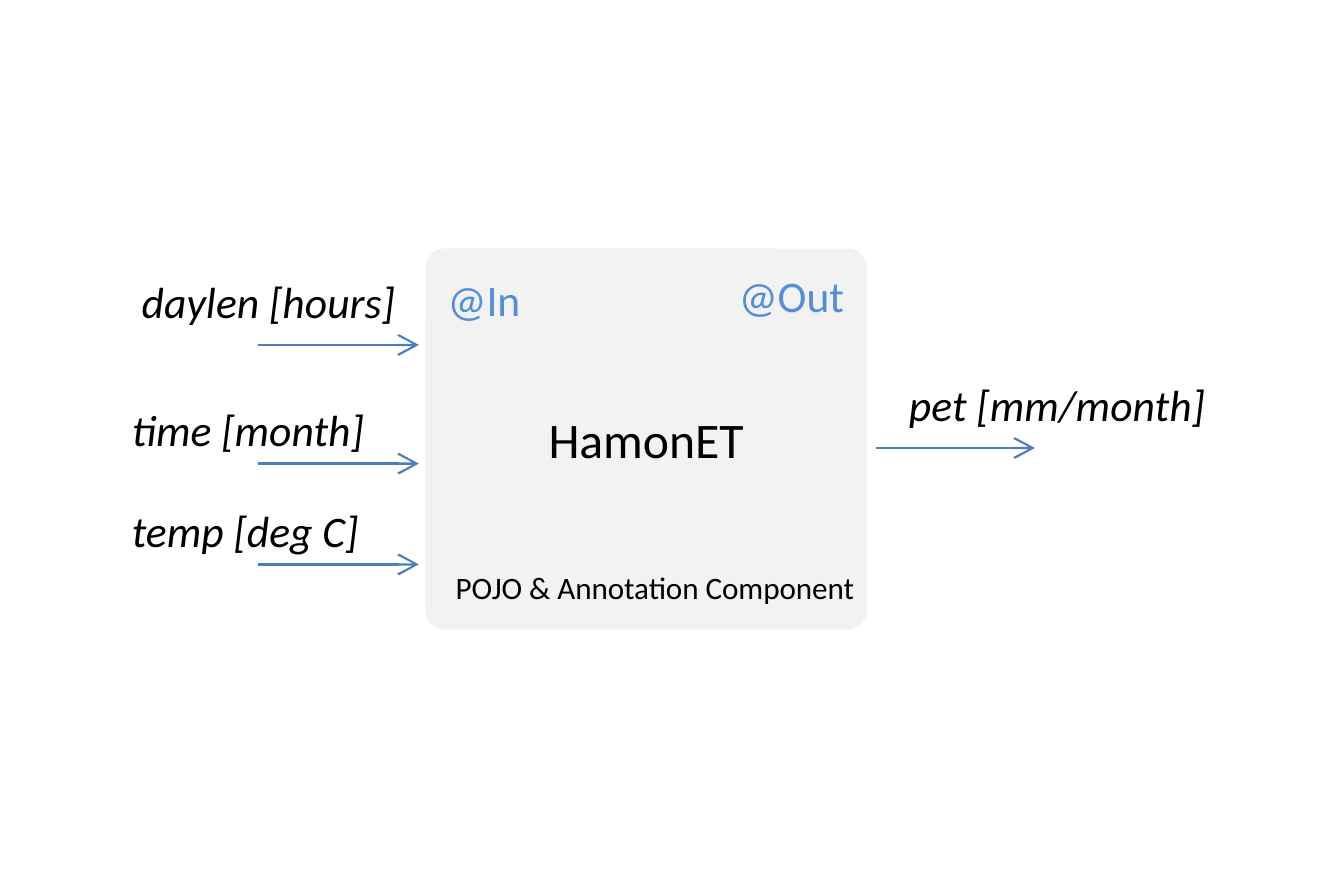
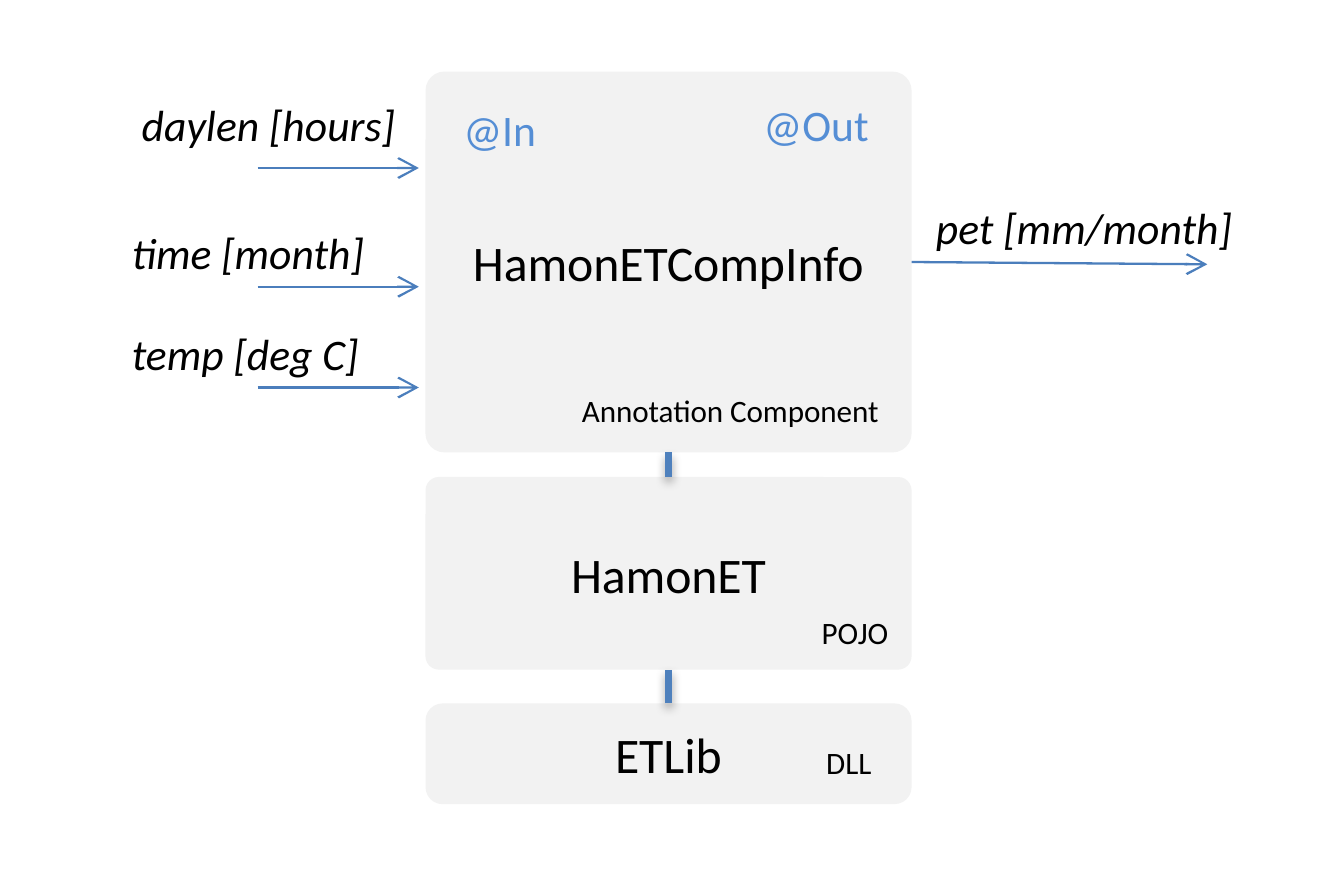
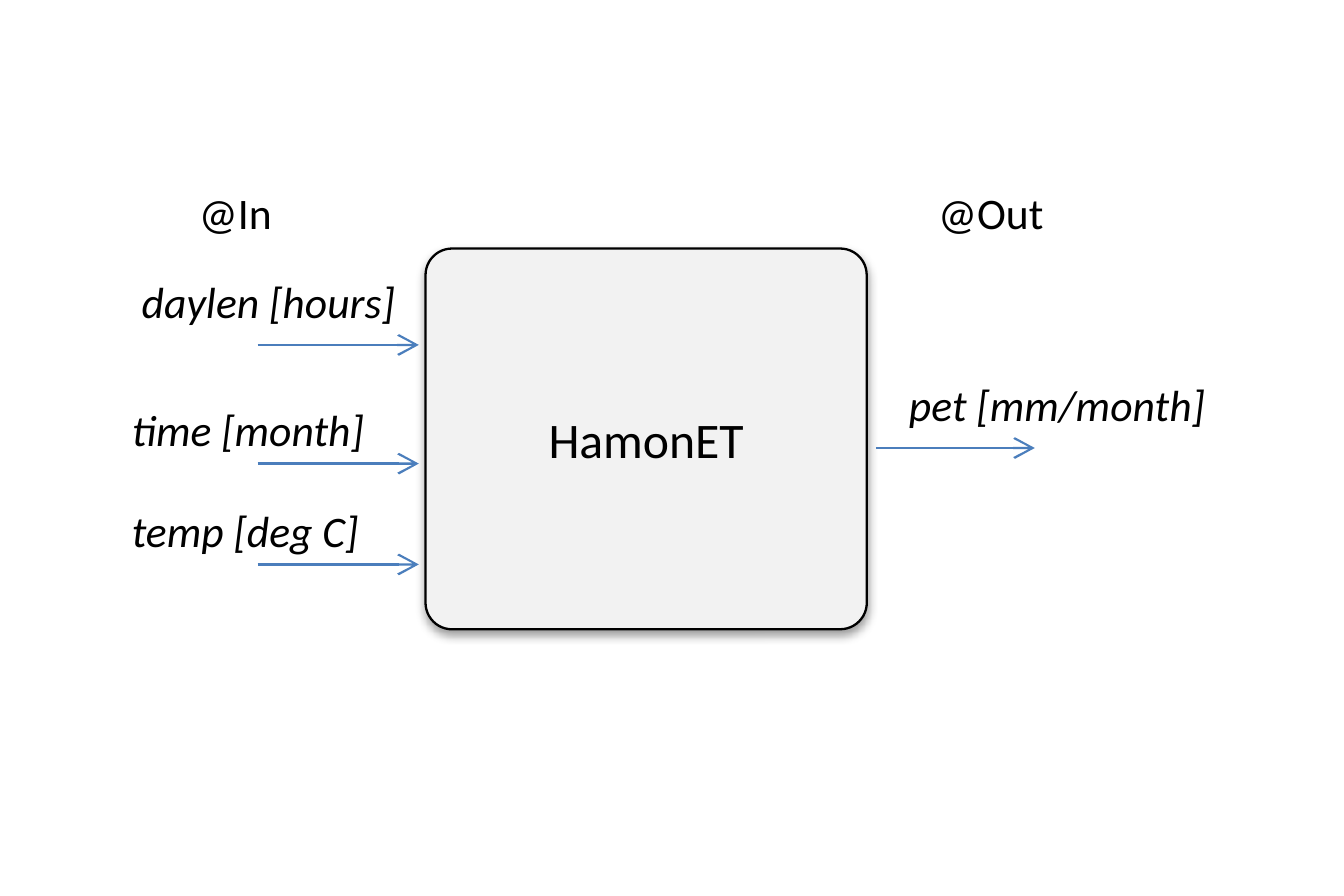
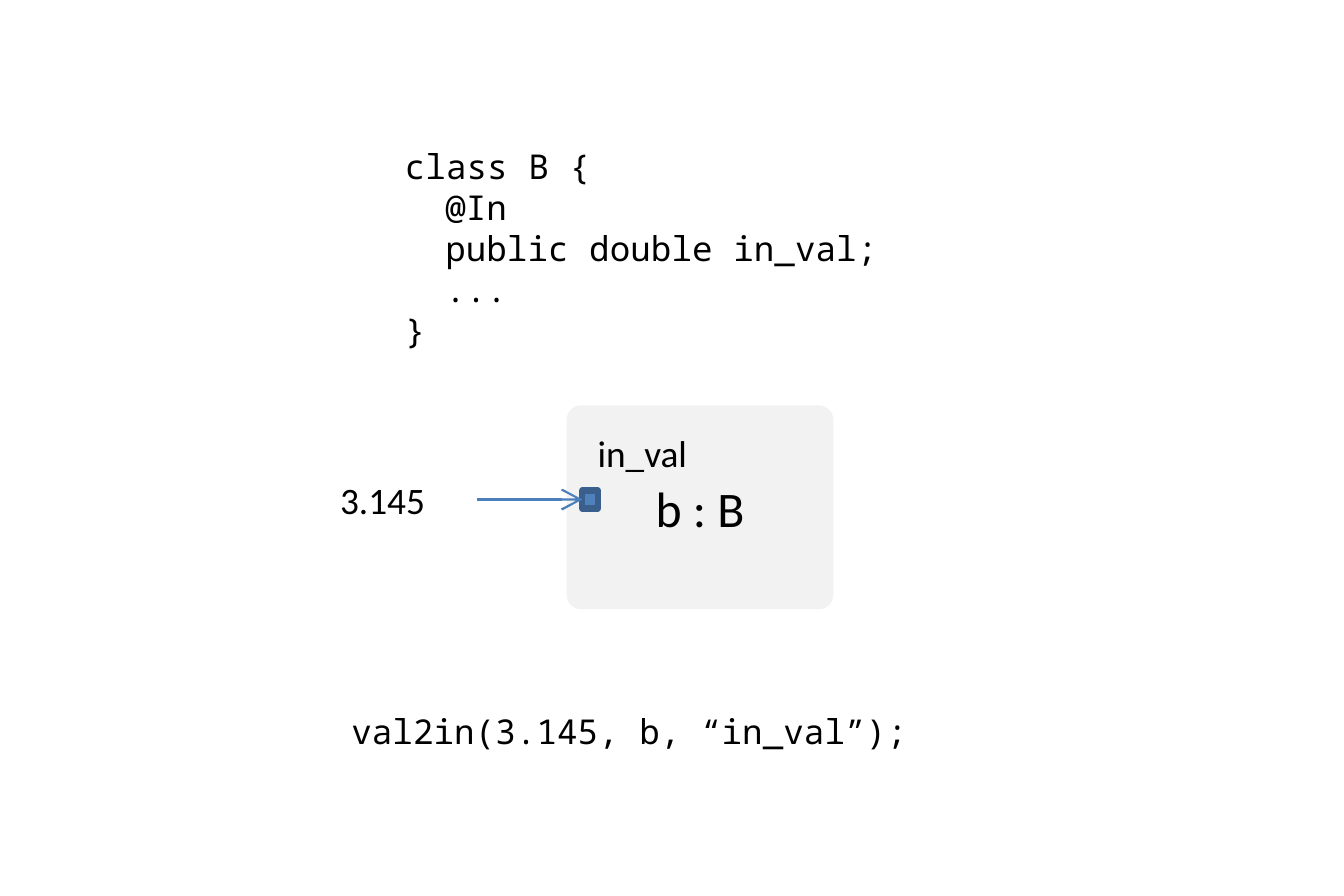
"""Draw four slides on annotated components and their inputs and outputs."""
from dataclasses import dataclass
from typing import NamedTuple, Optional

from lxml import etree
from pptx import Presentation
from pptx import util as u
from pptx.dml.color import RGBColor
from pptx.enum import shapes, text
from pptx.oxml import ns
from pptx.shapes.autoshape import Shape
from pptx.shapes.connector import Connector
from pptx.slide import Slide


@dataclass(frozen=True)
class Theme:
    ink: str = "000000"
    fill: str = "F2F2F2"
    tag: str = "558ED5"
    arrow: str = "4B7EBC"
    link: str = "4F81BD"
    rim: str = "3A5F8C"
    sans: str = "Calibri"
    mono: str = "Noto Sans Mono"
    name: int = 16
    label: int = 14
    value: int = 12
    code: int = 11
    note: int = 10
    thin: float = 0.75
    thick: float = 2


class Box(NamedTuple):
    name: str
    left: float
    top: float
    width: float
    height: float
    round: float
    framed: bool = False

    @property
    def right(self) -> float:
        return self.left + self.width


class Label(NamedTuple):
    text: str
    left: float
    top: float
    width: float
    height: float = 0.34
    size: int = 14
    color: str = "000000"
    italic: bool = False
    font: str = "Calibri"
    wrap: bool = False
    right: bool = False


class Port(NamedTuple):
    text: str
    label: float
    width: float
    arrow: float


class Join(NamedTuple):
    shape: Shape
    side: int


T = Theme()
TOP, LEFT, BOTTOM, RIGHT = range(4)
INPUTS = (
    Port(" daylen [hours]", 0.07, 1.39, 0.43),
    Port("time [month]", 0.64, 1.25, 0.96),
    Port("temp [deg C]", 1.09, 1.22, 1.41),
)
CODE = ("class B {", "  @In", "  public double in_val;", "  ...", "}")
STEP = 0.09


def rgb(color: str) -> RGBColor:
    return RGBColor.from_string(color)


def shade(effect: etree.ElementBase) -> None:
    cast = etree.SubElement(effect, ns.qn("a:outerShdw"), blurRad="39370",
                            dist="20320", dir="5400000", rotWithShape="0")
    color = etree.SubElement(cast, ns.qn("a:srgbClr"), val=T.ink)
    etree.SubElement(color, ns.qn("a:alpha"), val="38000")


def write(para, words: str, size: int, color: str, font: str,
          italic: bool = False) -> None:
    run = para.add_run()
    run.text = words
    run.font.size = u.Pt(size)
    run.font.name = font
    run.font.italic = italic
    run.font.color.rgb = rgb(color)


def draw_box(slide: Slide, box: Box) -> Shape:
    shape = slide.shapes.add_shape(
        shapes.MSO_SHAPE.ROUNDED_RECTANGLE, u.Inches(box.left),
        u.Inches(box.top), u.Inches(box.width), u.Inches(box.height))
    shape.adjustments[0] = box.round
    shape.fill.solid()
    shape.fill.fore_color.rgb = rgb(T.fill)
    shape.shadow.inherit = False
    if box.framed:
        shape.line.color.rgb = rgb(T.ink)
        shape.line.width = u.Pt(T.thin)
        shade(shape._element.spPr.find(ns.qn("a:effectLst")))
    else:
        shape.line.fill.background()
    frame = shape.text_frame
    frame.vertical_anchor = text.MSO_ANCHOR.MIDDLE
    para = frame.paragraphs[0]
    para.alignment = text.PP_ALIGN.CENTER
    write(para, box.name, T.name, T.ink, T.sans)
    return shape


def draw_label(slide: Slide, label: Label) -> None:
    frame = slide.shapes.add_textbox(
        u.Inches(label.left), u.Inches(label.top),
        u.Inches(label.width), u.Inches(label.height)).text_frame
    frame.word_wrap = label.wrap
    frame.auto_size = text.MSO_AUTO_SIZE.SHAPE_TO_FIT_TEXT
    for row, line in enumerate(label.text.split("\n")):
        para = frame.add_paragraph() if row else frame.paragraphs[0]
        if label.right:
            para.alignment = text.PP_ALIGN.RIGHT
        words = line
        if line.startswith("  "):
            words = line.lstrip()
            depth = len(line) - len(words)
            para._p.get_or_add_pPr().set("marL", str(u.Inches(depth * STEP)))
        write(para, words, label.size, label.color, label.font, label.italic)


def draw_line(slide: Slide, start: tuple[float, float],
              end: tuple[float, float], color: str, width: float,
              first: Optional[Join] = None,
              last: Optional[Join] = None) -> Connector:
    line = slide.shapes.add_connector(
        shapes.MSO_CONNECTOR.STRAIGHT, *(u.Inches(n) for n in start + end))
    if first:
        line.begin_connect(first.shape, first.side)
    if last:
        line.end_connect(last.shape, last.side)
    line.line.color.rgb = rgb(color)
    line.line.width = u.Pt(width)
    etree.SubElement(line._element.spPr, ns.qn("a:effectLst"))
    return line


def draw_arrow(slide: Slide, start: tuple[float, float],
               end: tuple[float, float], first: Optional[Join] = None,
               last: Optional[Join] = None) -> None:
    line = draw_line(slide, start, end, T.arrow, T.thin, first, last)
    etree.SubElement(line.line._get_or_add_ln(), ns.qn("a:tailEnd"),
                     type="arrow")


def draw_link(slide: Slide, low: Shape, high: Shape) -> None:
    line = draw_line(slide, (0, 0), (0, 0), T.link, T.thick,
                     Join(low, TOP), Join(high, BOTTOM))
    shade(line._element.spPr.find(ns.qn("a:effectLst")))


def draw_ports(slide: Slide, box: Box, pet: float) -> None:
    for port in INPUTS:
        row = box.top + port.arrow
        draw_arrow(slide, (1.15, row), (1.87, row))
        draw_label(slide, Label(port.text, 0.49, box.top + port.label,
                                port.width, italic=True))
    draw_label(slide, Label("pet [mm/month]", pet, box.top + 0.53, 1.54,
                            italic=True))


def draw_tags(slide: Slide, enter: tuple[float, float],
              leave: tuple[float, float], color: str) -> None:
    draw_label(slide, Label("@In", *enter, 0.53, color=color))
    draw_label(slide, Label("@Out", *leave, 0.67, color=color))


def draw_single(slide: Slide, box: Box) -> None:
    draw_box(slide, box)
    draw_ports(slide, box, 3.96)
    draw_arrow(slide, (box.right + 0.04, 2), (4.62, 2))


def draw_pojo(slide: Slide) -> None:
    draw_single(slide, Box("HamonET", 1.9, 1.11, 1.97, 1.7, 0.05))
    draw_tags(slide, (1.9, 1.17), (3.2, 1.15), T.tag)
    draw_label(slide, Label("POJO & Annotation Component", 1.72, 2.49, 2.19,
                            0.27, T.note, wrap=True, right=True))


def draw_stack(slide: Slide) -> None:
    boxes = (
        Box("HamonETCompInfo", 1.9, 0.32, 2.17, 1.7, 0.05),
        Box("HamonET", 1.9, 2.13, 2.17, 0.86, 0.07),
        Box("ETLib", 1.9, 3.14, 2.17, 0.45, 0.17),
    )
    info, pojo, lib = (draw_box(slide, box) for box in boxes)
    draw_ports(slide, boxes[0], 4.08)
    draw_arrow(slide, (boxes[0].right, 1.17), (5.39, 1.18),
               first=Join(info, RIGHT))
    draw_tags(slide, (1.97, 0.41), (3.31, 0.39), T.tag)
    draw_link(slide, pojo, info)
    draw_link(slide, lib, pojo)
    for note in (
        Label("Annotation Component", 2.22, 1.7, 1.8, 0.27, T.note,
              wrap=True, right=True),
        Label("POJO", 3.57, 2.69, 0.51, 0.27, T.note),
        Label("DLL", 3.59, 3.27, 0.41, 0.27, T.note),
    ):
        draw_label(slide, note)


def draw_frame(slide: Slide) -> None:
    draw_single(slide, Box("HamonET", 1.9, 1.11, 1.97, 1.7, 0.07, True))
    draw_tags(slide, (0.79, 0.78), (4.09, 0.78), T.ink)


def draw_value(slide: Slide) -> None:
    draw_box(slide, Box("b : B", 2.53, 1.81, 1.19, 0.91, 0.07))
    port = slide.shapes.add_shape(
        shapes.MSO_SHAPE.RECTANGLE, u.Inches(2.6), u.Inches(2.19),
        u.Inches(0.07), u.Inches(0.08))
    port.shadow.inherit = False
    port.fill.solid()
    port.fill.fore_color.rgb = rgb(T.link)
    port.line.color.rgb = rgb(T.rim)
    port.line.width = u.Pt(T.thick)
    draw_arrow(slide, (2.13, 2.23), (2.6, 2.23), last=Join(port, LEFT))
    for label in (
        Label("in_val", 2.57, 1.87, 0.6, 0.3, T.value),
        Label("3.145", 1.42, 2.08, 0.67, 0.3, T.value, wrap=True),
        Label("val2in(3.145, b, “in_val”);", 1.47, 3.12, 2.71, 0.29,
              T.code, font=T.mono),
        Label("\n".join(CODE), 1.71, 0.6, 2.43, 1.03, T.code, font=T.mono),
    ):
        draw_label(slide, label)


def main() -> None:
    deck = Presentation()
    deck.slide_width, deck.slide_height = u.Inches(6), u.Inches(4)
    blank = deck.slide_layouts.get_by_name("Blank")
    for draw in (draw_pojo, draw_stack, draw_frame, draw_value):
        draw(deck.slides.add_slide(blank))
    deck.save("out.pptx")


if __name__ == "__main__":
    main()
